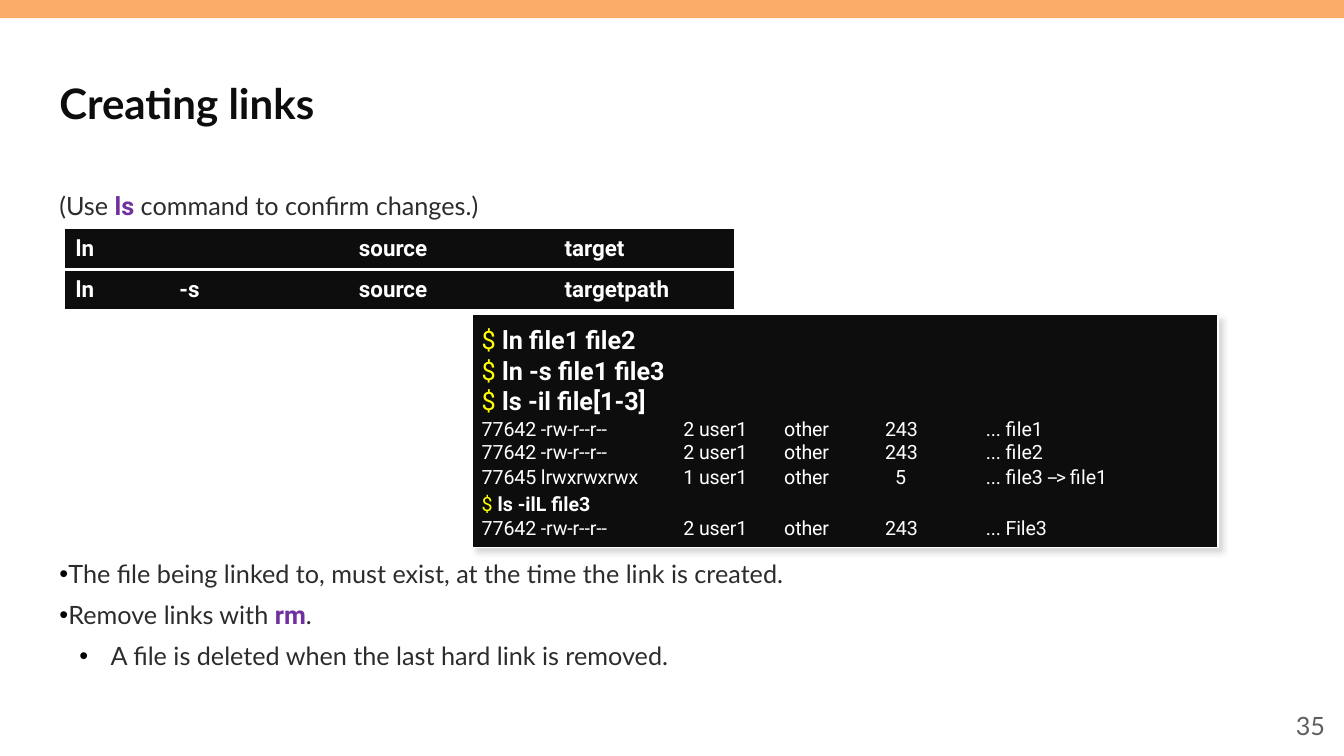
from dataclasses import dataclass

from lxml.etree import SubElement
from pptx import Presentation
from pptx.dml.color import RGBColor
from pptx.enum.shapes import MSO_SHAPE
from pptx.enum.text import MSO_ANCHOR, PP_ALIGN
from pptx.oxml.ns import qn
from pptx.util import Inches, Pt


@dataclass(frozen=True)
class Theme:
    bar: str = "FCAC69"
    black: str = "0D0D0D"
    text: str = "2D2C2C"
    accent: str = "7030A0"
    prompt: str = "FFFF00"
    white: str = "FFFFFF"
    page: str = "5F5F5F"
    shade: str = "DADADA"
    bullet: str = "000000"
    sans: str = "Lato"
    code: str = "Roboto"
    head: int = 30
    body: int = 18
    cell: int = 16
    small: int = 14


T = Theme()


def style(name, size, color, bold=False):
    return {"name": name, "size": Pt(size), "bold": bold, "color": color}


HEAD = style(T.sans, T.head, T.black, True)
BODY = style(T.sans, T.body, T.text)
WORD = style(T.code, T.body, T.accent, True)
PAGE = style(T.sans, T.body, T.page)
CELL = style(T.code, T.cell, T.white, True)
SIGN = style(T.code, T.body, T.prompt)
TYPED = style(T.code, T.body, T.white, True)
SIGN_SMALL = style(T.code, T.small, T.prompt)
TYPED_SMALL = style(T.code, T.small, T.white, True)
OUT = style(T.code, T.small, T.white) | {"spc": -10}
ARROW = OUT | {"spc": -90}


def apply(item, values):
    for key, value in values.items():
        setattr(item, key, value)


def node(parent, tag, **attrs):
    return SubElement(parent, qn(tag), {k: str(v) for k, v in attrs.items()})


def color_node(parent, color):
    return node(parent, "a:srgbClr", val=color)


class Deck:
    """Holds the presentation, its theme and the current slide."""

    def __init__(self, theme):
        self.theme = theme
        self.show = Presentation()
        self.show.slide_width = Inches(13.33)
        self.show.slide_height = Inches(7.5)
        self.slide = self.show.slides.add_slide(self.show.slide_layouts[6])

    def put(self, para, runs, **form):
        """Fill a paragraph with (text, style) runs."""
        apply(para, form)
        for text, look in runs:
            run = para.add_run()
            run.text = text
            font = dict(look)
            run.font.color.rgb = RGBColor.from_string(font.pop("color"))
            spc = font.pop("spc", None)
            apply(run.font, font)
            if spc is not None:
                run.font._element.set("spc", str(spc))

    def fill(self, item, color):
        item.fill.solid()
        item.fill.fore_color.rgb = RGBColor.from_string(color)

    def text(self, box, paras, **frame):
        """Add a text box; each paragraph is (runs, format, bullet indents)."""
        area = self.slide.shapes.add_textbox(*map(Inches, box)).text_frame
        apply(area, {"word_wrap": True} | frame)
        for i, (runs, form, indent) in enumerate(paras):
            para = area.add_paragraph() if i else area.paragraphs[0]
            if indent:
                self.bullet(para, *indent)
            self.put(para, runs, **form)

    def bullet(self, para, left, hang):
        props = para._p.get_or_add_pPr()
        props.set("marL", str(Inches(left)))
        props.set("indent", str(Inches(-hang)))
        color_node(node(props, "a:buClr"), self.theme.bullet)
        node(props, "a:buFont", typeface="Arial")
        node(props, "a:buChar", char="•")

    def rect(self, box, color):
        shape = self.slide.shapes.add_shape(MSO_SHAPE.RECTANGLE, *map(Inches, box))
        self.fill(shape, color)
        shape.line.fill.background()
        shape.shadow.inherit = False
        return shape

    def screen(self, box, lines):
        """Add a terminal window; each line is (runs, format, tab stops)."""
        shape = self.rect(box, self.theme.black)
        self.fill(shape.line, self.theme.white)
        shape.line.width = Pt(1)
        effects = shape._element.spPr.find(qn("a:effectLst"))
        shadow = node(effects, "a:outerShdw", blurRad=Pt(4), dist=Pt(4),
                      dir=45 * 60000, algn="tl", rotWithShape=0)
        color_node(shadow, self.theme.shade)
        area = shape.text_frame
        apply(area, {"word_wrap": True, "vertical_anchor": MSO_ANCHOR.TOP,
                     "margin_top": Inches(0.1), "margin_bottom": Inches(0.06)})
        for i, (runs, form, stops) in enumerate(lines):
            para = area.add_paragraph() if i else area.paragraphs[0]
            if stops:
                tabs = node(para._p.get_or_add_pPr(), "a:tabLst")
                for stop in stops:
                    node(tabs, "a:tab", pos=Inches(stop), algn="l")
            self.put(para, runs, alignment=PP_ALIGN.LEFT, **form)

    def table(self, box, cols, words):
        grid = self.slide.shapes.add_table(1, len(cols), *map(Inches, box)).table
        apply(grid, {"first_row": False, "horz_banding": False})
        for i, (width, word) in enumerate(zip(cols, words)):
            grid.columns[i].width = Inches(width)
            cell = grid.cell(0, i)
            apply(cell, {"margin_top": Inches(0.03), "margin_bottom": Inches(0.03),
                         "vertical_anchor": MSO_ANCHOR.MIDDLE})
            props = cell._tc.get_or_add_tcPr()
            for side in "LRTB":
                edge = node(props, f"a:ln{side}", w=Pt(1))
                color_node(node(edge, "a:solidFill"), self.theme.black)
            self.fill(cell, self.theme.black)
            if word:
                self.put(cell.text_frame.paragraphs[0], [(word, CELL)])


def typed(text, sign=SIGN, look=TYPED, **form):
    return [("$ ", sign), (text, look)], form, ()


def listed(inode, mode, count, size, name, shift=0, **form):
    """One row of file listing; shift moves the size column right."""
    row = f"{inode} {mode}\t{count} user1\tother\t{size}\t... "
    return [(row, OUT), *name], form, (2, 3, 4 + shift, 5)


def main():
    deck = Deck(T)
    deck.rect((0, 0, 13.33, 0.18), T.bar)
    deck.text((0.49, 0.55, 12.36, 0.94), [([("Creating links", HEAD)], {}, ())],
              vertical_anchor=MSO_ANCHOR.MIDDLE)
    hint = [("(Use ", BODY), ("ls", WORD), (" command to confirm changes.)", BODY)]
    deck.text((0.49, 1.9, 12.36, 0.36), [(hint, {"line_spacing": 0.8}, ())])

    first = {"line_spacing": 0.9}
    later = first | {"space_before": Pt(10)}
    deck.text((0.49, 5.52, 12.36, 1.44), [
        ([("The file being linked to, must exist, at the time the link is created.",
           BODY)], first, (0.09, 0.09)),
        ([("Remove links with ", BODY), ("rm", WORD), (".", BODY)], later, (0.09, 0.09)),
        ([("A file is deleted when the last hard link is removed.", BODY)],
         later | {"level": 1}, (0.51, 0.31)),
    ])
    deck.text((10.24, 7, 3, 0.4), [([("35", PAGE)], {"alignment": PP_ALIGN.RIGHT}, ())],
              vertical_anchor=MSO_ANCHOR.MIDDLE)

    plain = "-rw-r--r--"
    deck.screen((4.68, 3.12, 7.4, 2.31), [
        typed("ln file1 file2"),
        typed("ln -s file1 file3"),
        typed("ls -il file[1-3]"),
        listed(77642, plain, 2, 243, [("file1", OUT)], space_before=Pt(0.8)),
        listed(77642, plain, 2, 243, [("file2", OUT)]),
        listed(77645, "lrwxrwxrwx", 1, 5,
               [("file3 ", OUT), ("--> ", ARROW), ("file1", OUT)],
               shift=0.1, line_spacing=Pt(17.5)),
        typed("ls -ilL file3", SIGN_SMALL, TYPED_SMALL, line_spacing=Pt(19.5)),
        listed(77642, plain, 2, 243, [("File3", OUT)], space_before=Pt(0.1)),
    ])

    usage = [("ln", "", "source", "", "target"),
             ("ln", "-s", "source", "", "targetpath")]
    for i, words in enumerate(usage):
        deck.table((0.65, 2.28 + 0.41 * i, 6.62, 0.37),
                   (1.03, 1.78, 1.8, 0.24, 1.77), words)
    deck.show.save("out.pptx")


if __name__ == "__main__":
    main()
